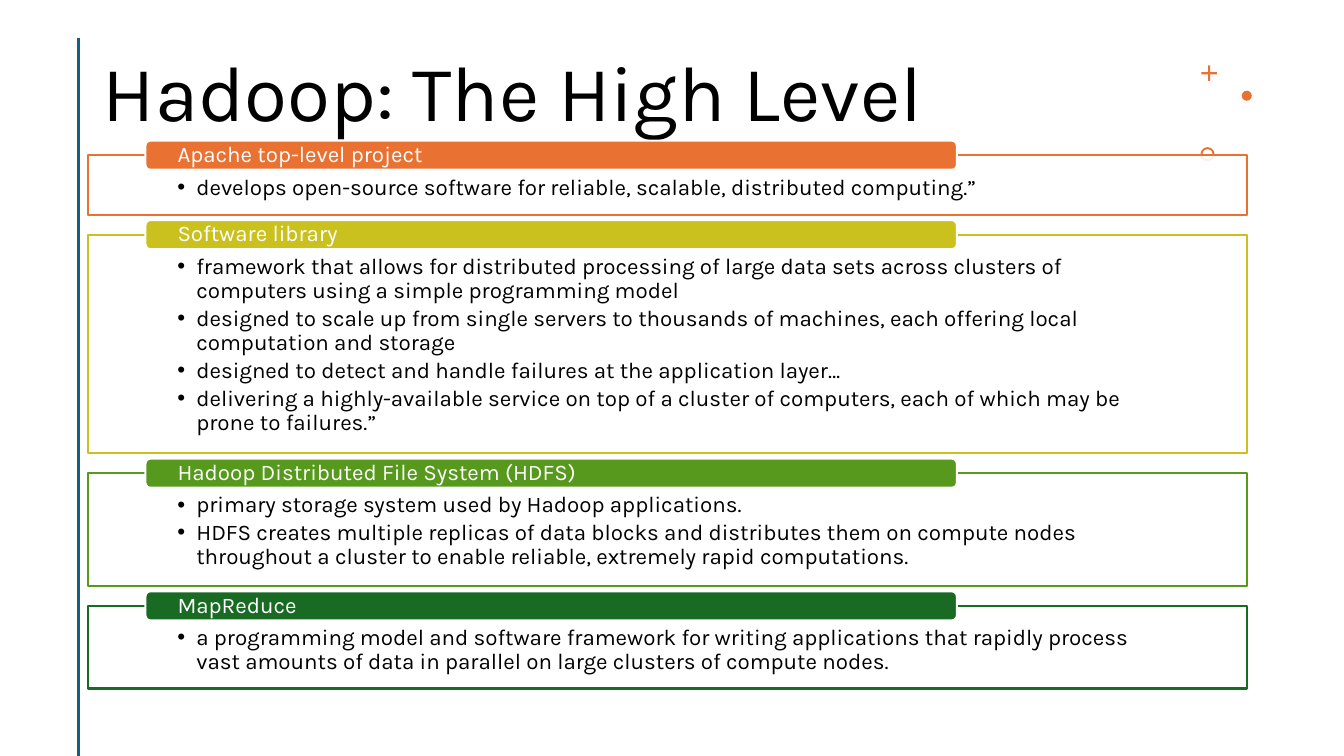
from lxml import etree
from pptx import Presentation
from pptx.dml.color import RGBColor
from pptx.enum import shapes, text
from pptx.oxml import ns
from pptx.util import Pt

TITLE = "Hadoop: The High Level"
ORANGE = RGBColor(0xE9, 0x71, 0x32)
YELLOW = RGBColor(0xCB, 0xC1, 0x1E)
GREEN = RGBColor(0x56, 0x99, 0x1D)
DARK_GREEN = RGBColor(0x19, 0x6B, 0x24)
TEAL = RGBColor(0x15, 0x60, 0x82)
BLACK = RGBColor(0, 0, 0)
WHITE = RGBColor(0xFF, 0xFF, 0xFF)
FONT = "Karla"

# Heading, colour, panel height, bullets
SECTIONS = [
    ("Apache top-level project", ORANGE, 42.5, [
        "develops open-source software for reliable, scalable, distributed computing.”",
    ]),
    ("Software library", YELLOW, 156.2, [
        "framework that allows for distributed processing of large data sets across "
        "clusters of computers using a simple programming model",
        "designed to scale up from single servers to thousands of machines, each "
        "offering local computation and storage",
        "designed to detect and handle failures at the application layer…",
        "delivering a highly-available service on top of a cluster of computers, "
        "each of which may be prone to failures.”",
    ]),
    ("Hadoop Distributed File System (HDFS)", GREEN, 80.6, [
        "primary storage system used by Hadoop applications.",
        "HDFS creates multiple replicas of data blocks and distributes them on "
        "compute nodes throughout a cluster to enable reliable, extremely rapid computations.",
    ]),
    ("MapReduce", DARK_GREEN, 59, [
        "a programming model and software framework for writing applications that "
        "rapidly process vast amounts of data in parallel on large clusters of compute nodes.",
    ]),
]

# Preset, left, top, size, adjustment
ORNAMENTS = [
    (shapes.MSO_SHAPE.CROSS, 858.2, 46.8, 11, 0.43),
    (shapes.MSO_SHAPE.OVAL, 887, 64.8, 7.2, None),
    (shapes.MSO_SHAPE.DONUT, 857.5, 105.1, 10.1, 0.14),
]

PANEL_LEFT, PANEL_WIDTH, PANEL_TOP, PANEL_GAP = 62.6, 828, 110.9, 14.2
TAB_LEFT, TAB_WIDTH, TAB_HEIGHT, TAB_RISE = 103.9, 579.6, 20.8, 10.4
BULLET_INDENT = 13.5


def add_filled(preset, left, top, width, height, fill, line=None):
    shape = slide.shapes.add_shape(preset, Pt(left), Pt(top), Pt(width), Pt(height))
    shape.shadow.inherit = False
    shape.fill.solid()
    shape.fill.fore_color.rgb = fill
    if line is None:
        shape.line.fill.background()
    else:
        shape.line.color.rgb = line
        shape.line.width = Pt(1.5)
    return shape


def set_frame(frame, anchor, side, top=0, bottom=0):
    frame.word_wrap = True
    frame.auto_size = text.MSO_AUTO_SIZE.NONE
    frame.vertical_anchor = anchor
    frame.margin_left = frame.margin_right = Pt(side)
    frame.margin_top, frame.margin_bottom = Pt(top), Pt(bottom)


def style(paragraph, size, color):
    paragraph.alignment = text.PP_ALIGN.LEFT
    paragraph.line_spacing = 0.9
    paragraph.font.size = Pt(size)
    paragraph.font.name = FONT
    paragraph.font.color.rgb = color


def add_bullet(paragraph):
    props = paragraph._p.get_or_add_pPr()
    props.set("marL", str(Pt(BULLET_INDENT)))
    props.set("indent", str(-Pt(BULLET_INDENT)))
    etree.SubElement(props, ns.qn("a:buFont"), typeface="Arial")
    etree.SubElement(props, ns.qn("a:buChar"), char="•")


deck = Presentation()
deck.slide_width, deck.slide_height = Pt(960), Pt(540)
slide = deck.slides.add_slide(deck.slide_layouts[5])

# Title
title = slide.shapes.title
title.left, title.top, title.width, title.height = Pt(66.2), Pt(28.8), Pt(774.7), Pt(79.2)
set_frame(title.text_frame, text.MSO_ANCHOR.MIDDLE, 7.2, 3.6, 3.6)
title.text_frame.text = TITLE
style(title.text_frame.paragraphs[0], 56, BLACK)

# Vertical rule
rule = slide.shapes.add_connector(
    shapes.MSO_CONNECTOR.STRAIGHT, Pt(56.2), Pt(27.5), Pt(56.2), Pt(540))
rule.line.color.rgb = TEAL
rule.line.width = Pt(2)
etree.SubElement(rule._element.spPr, ns.qn("a:effectLst"))

# Corner ornaments
for preset, left, top, size, adjustment in ORNAMENTS:
    ornament = add_filled(preset, left, top, size, size, ORANGE)
    if adjustment is not None:
        ornament.adjustments[0] = adjustment

# Stacked panels, each with a heading tab on its top edge
panel_top = PANEL_TOP
for heading, color, height, bullets in SECTIONS:
    panel = add_filled(shapes.MSO_SHAPE.RECTANGLE, PANEL_LEFT, panel_top,
                       PANEL_WIDTH, height, WHITE, color)
    white = panel._element.spPr.find(ns.qn("a:solidFill"))[0]
    etree.SubElement(white, ns.qn("a:alpha"), val="90000")
    set_frame(panel.text_frame, text.MSO_ANCHOR.TOP, 64.2, 14.6, 8.6)
    for index, bullet in enumerate(bullets):
        frame = panel.text_frame
        paragraph = frame.add_paragraph() if index else frame.paragraphs[0]
        paragraph.text = bullet
        paragraph.space_after = Pt(2.6)
        add_bullet(paragraph)
        style(paragraph, 16, BLACK)

    tab = add_filled(shapes.MSO_SHAPE.ROUNDED_RECTANGLE, TAB_LEFT, panel_top - TAB_RISE,
                     TAB_WIDTH, TAB_HEIGHT, color, WHITE)
    set_frame(tab.text_frame, text.MSO_ANCHOR.MIDDLE, 21.9)
    tab.text_frame.text = heading
    style(tab.text_frame.paragraphs[0], 16, WHITE)
    panel_top += height + PANEL_GAP

deck.save("out.pptx")
